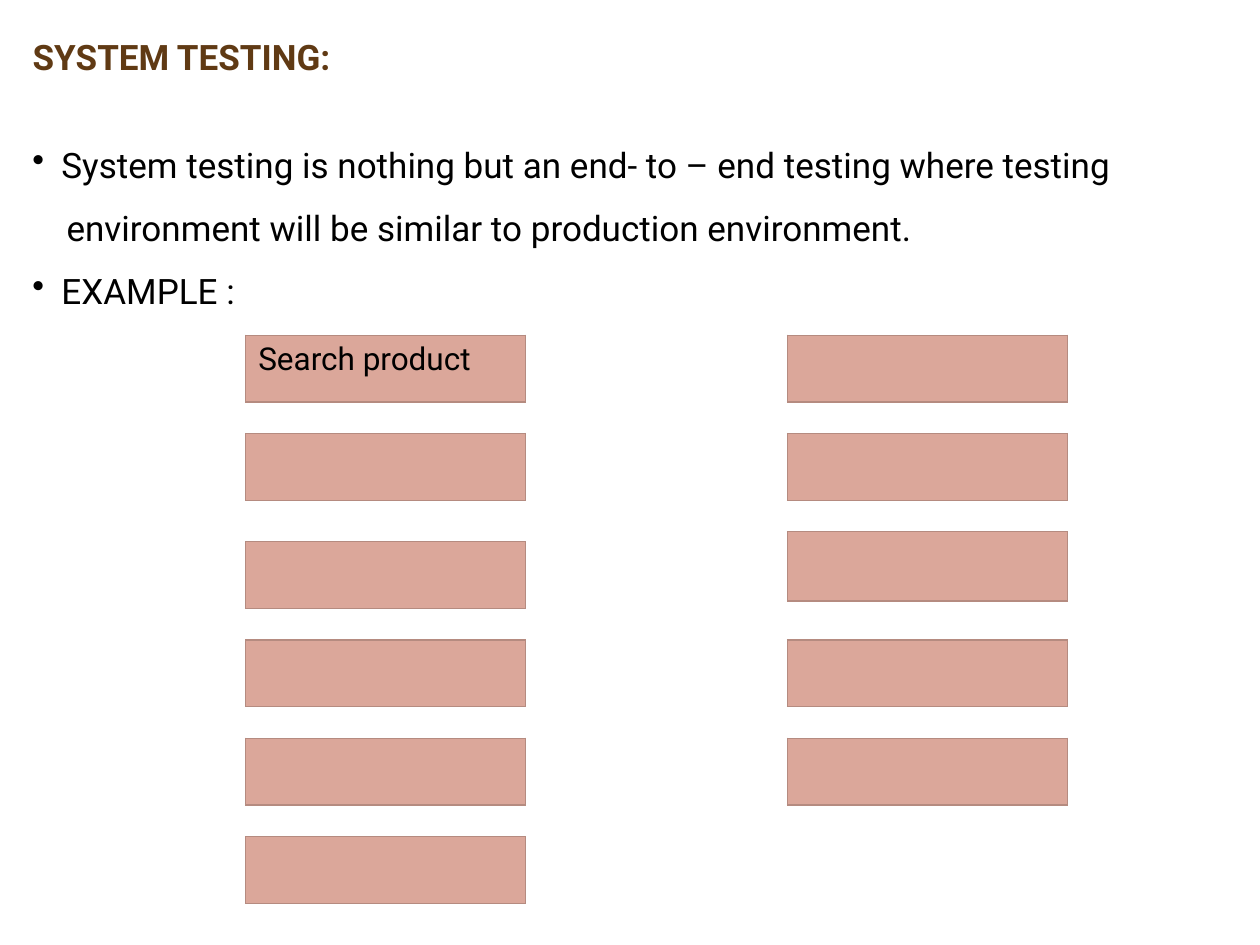
import pptx
import pptx.util
import pptx.dml.color
import pptx.enum.text
import pptx.oxml
import pptx.oxml.ns
import lxml.etree

RGB = pptx.dml.color.RGBColor
BROWN = RGB(0x60, 0x3A, 0x14)
BLACK = RGB(0, 0, 0)
ROSE = RGB(0xDB, 0xA7, 0x9A)
EDGE = RGB(0xB5, 0x8B, 0x80)
SCALE = 9144
ANCHOR = pptx.enum.text.MSO_ANCHOR


def px(*sizes):
    return [pptx.util.Emu(size * SCALE) for size in sizes]


class Deck:
    """Holds the text style and the current slide."""

    font = "Roboto"

    def __init__(self, wide, high):
        self.file = pptx.Presentation()
        self.file.slide_width, self.file.slide_height = px(wide, high)
        self.slide = self.file.slides.add_slide(self.file.slide_layouts[5])

    def style(self, para, size, color, bold=False):
        para.font.name = self.font
        para.font.size = pptx.util.Pt(size)
        para.font.color.rgb = color
        para.font.bold = bold

    def title(self, text, x, y, w, h):
        shape = self.slide.shapes.title
        shape.left, shape.top, shape.width, shape.height = px(x, y, w, h)
        frame = shape.text_frame
        frame.text = text
        frame.vertical_anchor = ANCHOR.TOP
        para = frame.paragraphs[0]
        para.alignment = pptx.enum.text.PP_ALIGN.LEFT
        self.style(para, 20, BROWN, True)

    def body(self, lines, x, y, w, h):
        frame = self.slide.shapes.add_textbox(*px(x, y, w, h)).text_frame
        frame.word_wrap = True
        frame.vertical_anchor = ANCHOR.BOTTOM
        for index, (text, mark, inset) in enumerate(lines):
            para = frame.add_paragraph() if index else frame.paragraphs[0]
            para.text = text
            para.line_spacing = 1.5
            self.style(para, 20, BLACK)
            props = para._p.get_or_add_pPr()
            props.set("marL", str(inset * SCALE))
            if mark:
                props.set("indent", str(-inset * SCALE))
                bullet = lxml.etree.SubElement(props, pptx.oxml.ns.qn("a:buChar"))
                bullet.set("char", mark)

    def box(self, text, x, y, w, h):
        table = self.slide.shapes.add_table(1, 1, *px(x, y, w, h)).table
        table.first_row = table.horz_banding = False
        cell = table.cell(0, 0)
        props = cell._tc.get_or_add_tcPr()
        for side in "LRTB":
            props.append(pptx.oxml.parse_xml(
                f'<a:ln{side} {pptx.oxml.ns.nsdecls("a")} w="10033"><a:solidFill>'
                f'<a:srgbClr val="{EDGE}"/></a:solidFill></a:ln{side}>'))
        cell.fill.solid()
        cell.fill.fore_color.rgb = ROSE
        cell.text = text
        self.style(cell.text_frame.paragraphs[0], 18, BLACK)


def main():
    deck = Deck(1000, 750)
    deck.title("SYSTEM TESTING:", 16, 23, 984, 44)
    deck.body([
        ("System testing is nothing but an end- to – end testing where testing", "•", 23),
        ("environment will be similar to production environment.", "", 27),
        ("EXAMPLE :", "•", 23),
    ], 16, 92, 984, 160)
    tops = [266, 344, 430, 508, 586, 664]
    for row, top in enumerate(tops):
        deck.box("" if row else "Search product", 195, top, 222, 53)
    for row, top in enumerate(tops[:-1]):
        lift, high = (8, 55) if row == 2 else (0, 53)
        deck.box("", 625, top - lift, 222, high)
    deck.file.save("out.pptx")


if __name__ == "__main__":
    main()
